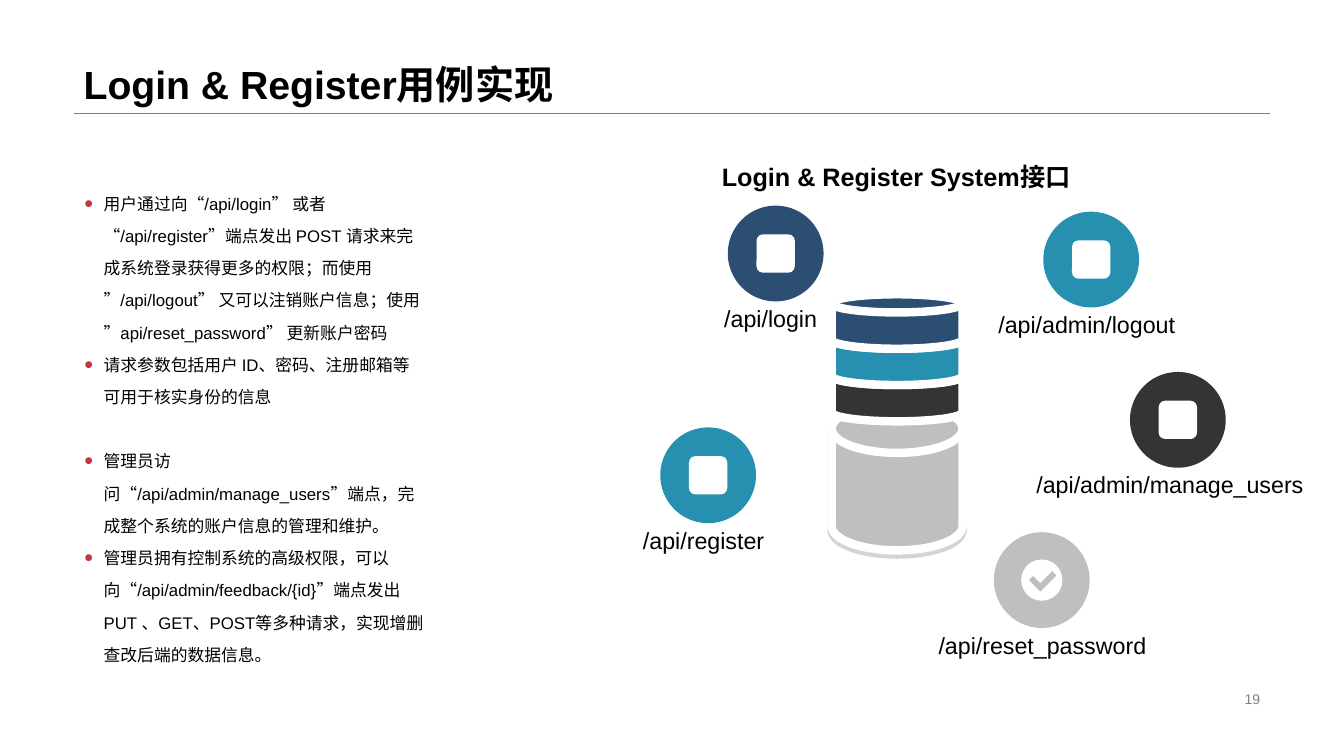
from lxml import etree
from pptx import Presentation
from pptx import util as u
from pptx.dml.color import RGBColor
from pptx.enum import shapes, text
from pptx.oxml.ns import qn

NAVY, TEAL, DARK, GREY = "2B4E72", "2790B0", "353432", "BFBFBF"
WHITE, BLACK, MID, RED = "FFFFFF", "000000", "808080", "BD374A"
FORM, ALIGN, ANCHOR = shapes.MSO_SHAPE, text.PP_ALIGN, text.MSO_ANCHOR
CELL = u.Inches(0.1)  # the grid: ten columns and ten rows to the inch


def grid(*cells):
    return [round(n * CELL) for n in cells]


def color(code):
    return RGBColor.from_string(code)


def add(parent, tag, **attrs):
    node = etree.SubElement(parent, qn(tag))
    for key, val in attrs.items():
        node.set(key, str(val))
    return node


class Deck:
    font = "Arial"

    def __init__(self, wide, high):
        self.prs = Presentation()
        self.prs.slide_width, self.prs.slide_height = grid(wide, high)
        self.slide = self.prs.slides.add_slide(self.prs.slide_layouts[5])
        self.items = self.slide.shapes

    def fill_text(self, box, lines, size, bold=False, tint=BLACK,
                  align=ALIGN.LEFT, anchor=ANCHOR.TOP, wrap=True):
        frame = box.text_frame
        frame.text = "\n".join(lines)
        frame.word_wrap = wrap
        frame.vertical_anchor = anchor
        frame.auto_size = text.MSO_AUTO_SIZE.NONE
        for para in frame.paragraphs:
            para.alignment = align
            for run in para.runs:
                run.font.name, run.font.size = self.font, u.Pt(size)
                run.font.bold = bold
                run.font.color.rgb = color(tint)
        return frame.paragraphs

    def title(self, words, *place):
        box = self.items.title
        box.left, box.top, box.width, box.height = grid(*place)
        para = self.fill_text(box, [words], 28, True, anchor=ANCHOR.BOTTOM)[0]
        para.line_spacing = 0.9

    def label(self, words, place, size, **style):
        box = self.items.add_textbox(*grid(*place))
        self.fill_text(box, [words], size, **style)

    def bullets(self, lines, place, size, gaps):
        box = self.items.add_textbox(*grid(*place))
        for i, para in enumerate(self.fill_text(box, lines, size)):
            para.line_spacing = 1.6
            para.space_before = u.Pt(gaps.get(i, 0))
            props = para._p.get_or_add_pPr()
            inset = u.Inches(0.19)
            props.set("marL", str(inset))
            props.set("indent", str(-inset))
            add(add(props, "a:buClr"), "a:srgbClr", val=RED)
            add(props, "a:buSzPct", val=150000)
            add(props, "a:buFont", typeface=self.font)
            add(props, "a:buChar", char="•")

    def rule(self, x, y, end):
        line = self.items.add_connector(shapes.MSO_CONNECTOR.STRAIGHT, *grid(x, y, end, y))
        line.line.color.rgb, line.line.width = color(MID), u.Pt(0.25)
        add(line._element.spPr, "a:effectLst")

    def paint(self, item, fill, edge=0):
        item.shadow.inherit = False
        item.fill.solid()
        item.fill.fore_color.rgb = color(fill)
        if edge:
            item.line.color.rgb, item.line.width = color(WHITE), u.Pt(edge)
        else:
            item.line.fill.background()
        return item

    def shape(self, form, place, fill, edge=0):
        return self.paint(self.items.add_shape(form, *grid(*place)), fill, edge)

    def badge(self, form, x, y, wide, fill):
        # Disc with a centred white mark
        disc = 9.5
        self.shape(FORM.OVAL, (x, y, disc, disc), fill)
        gap = (disc - wide) / 2
        self.shape(form, (x + gap, y + gap, wide, wide), WHITE)

    def tick(self, x, y, fill):
        dots = [(-1.3, 0), (-0.9, -0.4), (-0.2, 0.3), (1, -0.9), (1.4, -0.45), (-0.2, 1.15)]
        pts = [tuple(grid(x + dx, y + dy)) for dx, dy in dots]
        pen = self.items.build_freeform(*pts[0])
        pen.add_line_segments(pts[1:], close=True)
        self.paint(pen.convert_to_shape(), fill)

    def shade(self, item):
        glow = add(item._element.spPr.find(qn("a:effectLst")), "a:outerShdw", blurRad=0,
                   dist=u.Pt(3), dir=5400000, algn="ctr", rotWithShape=0)
        add(add(glow, "a:srgbClr", val=BLACK), "a:alpha", val=16000)


def main():
    deck = Deck(133.33, 75)

    # Title, rule and page number
    deck.rule(7.3, 11.2, 126)
    deck.title("Login & Register用例实现", 7.3, 0, 118.7, 11.2)
    deck.label("19", (94.2, 68.2, 31.8, 2.3), 10, tint=MID,
               align=ALIGN.RIGHT, anchor=ANCHOR.MIDDLE)

    # Database stack, bottom to top
    can = FORM.FLOWCHART_MAGNETIC_DISK
    deck.shade(deck.shape(can, (82.5, 40.1, 13, 14.5), GREY, 6))
    for i, fill in enumerate((DARK, TEAL, NAVY)):
        deck.shape(can, (82.5, 36.4 - 3.6 * i, 13, 5.4), fill, 6)

    # Endpoints: name, disc left and top, label centre, fill, mark and its width
    box, dot = FORM.ROUNDED_RECTANGLE, FORM.OVAL
    points = [
        ("/api/admin/logout", 103.5, 21, 107.8, TEAL, box, 3.8),
        ("/api/login", 72.2, 20.4, 76.45, NAVY, box, 3.8),
        ("/api/admin/manage_users", 112.1, 36.9, 116.05, DARK, box, 3.8),
        ("/api/reset_password", 98.6, 52.8, 103.4, GREY, dot, 4.1),
        ("/api/register", 65.5, 42.4, 69.8, TEAL, box, 3.8),
    ]
    for name, x, y, mid, fill, form, wide in points:
        deck.badge(form, x, y, wide, fill)
        deck.label(name, (mid - 14, y + 9.65, 28, 3.4), 16.6,
                   align=ALIGN.CENTER, anchor=ANCHOR.BOTTOM, wrap=False)
    deck.tick(103.4, 57.55, GREY)

    # Heading and notes on the use cases
    deck.label("Login & Register System接口", (61.3, 15.5, 55.2, 4), 18,
               bold=True, align=ALIGN.CENTER)
    deck.bullets([
        "用户通过向“/api/login” 或者 “/api/register”端点发出 POST 请求来完成系统登录获得更多的权限；"
        "而使用 ”/api/logout” 又可以注销账户信息；使用 ”api/reset_password” 更新账户密码",
        "请求参数包括用户 ID、密码、注册邮箱等可用于核实身份的信息",
        "管理员访问“/api/admin/manage_users”端点，完成整个系统的账户信息的管理和维护。",
        "管理员拥有控制系统的高级权限，可以向“/api/admin/feedback/{id}”端点发出 PUT 、GET、POST等多种请求，"
        "实现增删查改后端的数据信息。",
    ], (7.4, 17.5, 35.6, 45.8), 12, {2: 23})

    deck.prs.save("out.pptx")


if __name__ == "__main__":
    main()
